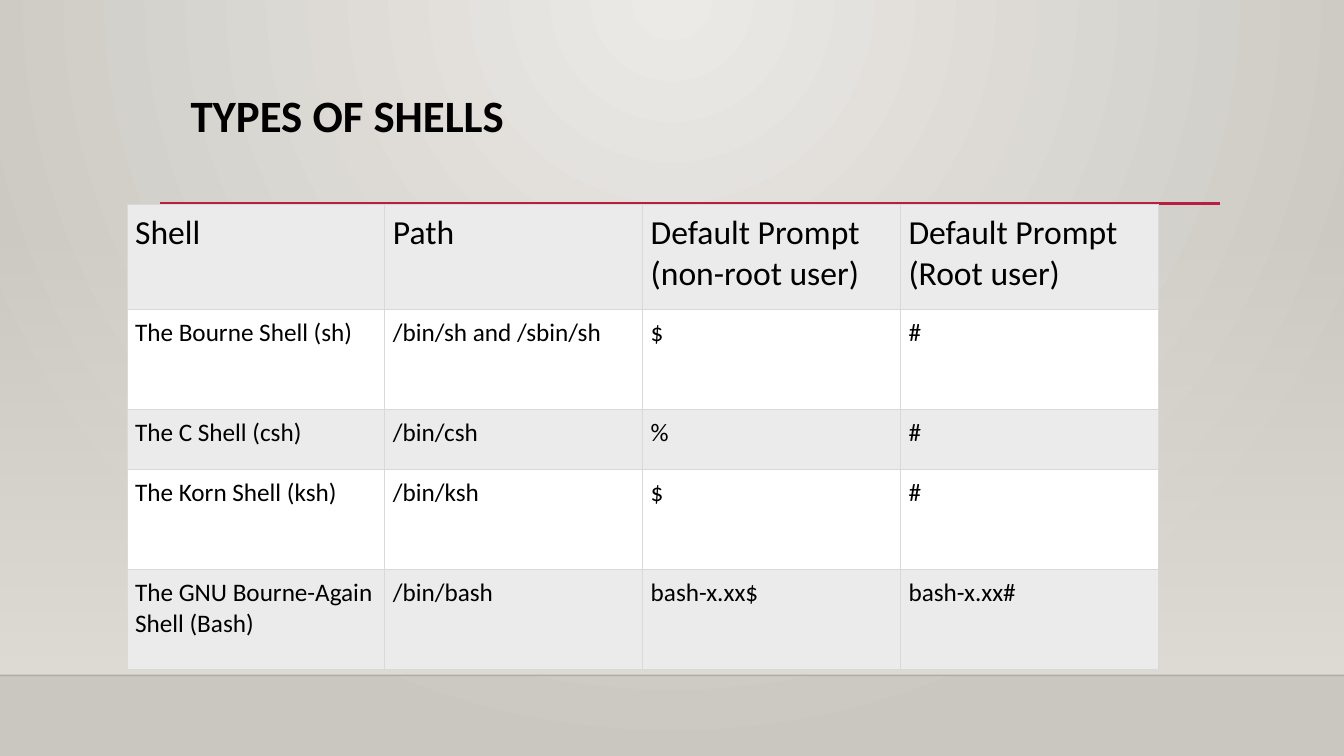
from dataclasses import dataclass

from lxml import etree
from pptx import Presentation
from pptx import util as u
from pptx.dml.color import RGBColor
from pptx.enum import shapes, text
from pptx.oxml import ns


@dataclass(frozen=True)
class Theme:
    font: str = "Calibri"
    ink: str = "000000"
    rule: str = "B71E42"
    edge: str = "000001"
    glow: str = "ECEAE7"
    wall: str = "CAC7C1"
    haze: str = "DFDBD5"
    band: str = "EBEBEB"
    plain: str = "FFFFFF"
    grid: str = "D9D9D9"
    title: int = 32
    head: int = 24
    body: int = 18


def assign(item, values):
    for name, value in values.items():
        setattr(item, name, value)


def add(parent, tag, **attrs):
    return etree.SubElement(parent, ns.qn(tag), attrs)


class Deck:
    def __init__(self, theme):
        self.theme = theme
        self.prs = Presentation()
        assign(self.prs, {"slide_width": u.Inches(13.33), "slide_height": u.Inches(7.5)})
        self.slide = self.prs.slides.add_slide(self.prs.slide_layouts[6])

    def wide(self, share):
        return round(self.prs.slide_width * share / 100)

    def high(self, share):
        return round(self.prs.slide_height * share / 100)

    def area(self, left, top, width, height):
        return self.wide(left), self.high(top), self.wide(width), self.high(height)

    def blend(self, fill, tints):
        fill.gradient()
        for stop, tint in zip(fill.gradient_stops, tints):
            stop.color.rgb = RGBColor.from_string(tint)

    def paint(self, fill, tint):
        fill.solid()
        fill.fore_color.rgb = RGBColor.from_string(tint)

    def label(self, frame, words, size, **extra):
        para = frame.paragraphs[0]
        run = para.add_run()
        run.text = words
        assign(run.font, {"name": self.theme.font, "size": u.Pt(size), **extra})
        run.font.color.rgb = RGBColor.from_string(self.theme.ink)
        return para

    def backdrop(self):
        self.blend(self.slide.background.fill, (self.theme.glow, self.theme.wall))
        grad = self.slide.element.find(".//" + ns.qn("a:gradFill"))
        grad.remove(grad.find(ns.qn("a:lin")))
        ring = add(grad, "a:path", path="circle")
        add(ring, "a:fillToRect", l="43000", t="0", r="43000", b="100000")

    def veil(self, *area):
        box = self.slide.shapes.add_shape(shapes.MSO_SHAPE.RECTANGLE, *self.area(*area))
        box.shadow.inherit = False
        box.line.fill.background()
        self.blend(box.fill, (self.theme.haze, self.theme.haze))
        box.fill.gradient_angle = 270
        first = box.element.find(".//" + ns.qn("a:srgbClr"))
        add(first, "a:alpha", val="0")

    def line(self, start, end, level, tint, width, alpha=100):
        link = self.slide.shapes.add_connector(
            shapes.MSO_CONNECTOR.STRAIGHT,
            self.wide(start), self.high(level), self.wide(end), self.high(level),
        )
        link.line.width = u.Pt(width)
        self.paint(link.line.fill, tint)
        if alpha < 100:
            shade = link.element.find(".//" + ns.qn("a:srgbClr"))
            add(shade, "a:alpha", val=str(alpha * 1000))
        add(link.element.spPr, "a:effectLst")

    def title(self, words, *area):
        frame = self.slide.shapes.add_textbox(*self.area(*area)).text_frame
        assign(frame, {
            "word_wrap": True,
            "margin_left": u.Inches(0.3),
            "vertical_anchor": text.MSO_ANCHOR.TOP,
        })
        para = self.label(frame, words, self.theme.title, bold=True)
        para.line_spacing = 0.9

    def border(self, cell):
        props = cell._tc.get_or_add_tcPr()
        for spot, side in enumerate(("a:lnL", "a:lnR", "a:lnT", "a:lnB")):
            edge = add(props, side, w=str(u.Pt(0.75)))
            add(add(edge, "a:solidFill"), "a:srgbClr", val=self.theme.grid)
            props.insert(spot, edge)

    def table(self, rows, tall, left, top, width):
        area = self.area(left, top, width, sum(tall))
        grid = self.slide.shapes.add_table(len(rows), len(rows[0]), *area).table
        assign(grid, {"first_row": False, "horz_banding": False})
        pad = u.Inches(0.08)
        sides = ("left", "right", "top", "bottom")
        for y, row in enumerate(rows):
            grid.rows[y].height = self.high(tall[y])
            for x, words in enumerate(row):
                cell = grid.cell(y, x)
                assign(cell, {f"margin_{side}": pad for side in sides})
                self.paint(cell.fill, self.theme.plain if y % 2 else self.theme.band)
                self.border(cell)
                self.label(cell.text_frame, words, self.theme.body if y else self.theme.head)


SHELLS = [
    ("Shell", "Path", "Default Prompt (non-root user)", "Default Prompt (Root user)"),
    ("The Bourne Shell (sh)", "/bin/sh and /sbin/sh", "$", "#"),
    ("The C Shell (csh)", "/bin/csh", "%", "#"),
    ("The Korn Shell (ksh)", "/bin/ksh", "$", "#"),
    ("The GNU Bourne-Again Shell (Bash)", "/bin/bash", "bash-x.xx$", "bash-x.xx#"),
]


def main():
    theme = Theme()
    deck = Deck(theme)
    deck.backdrop()
    deck.veil(0, 29.47, 100, 59.87)
    deck.line(0, 100, 89.33, theme.edge, 1, alpha=20)
    deck.line(11.93, 90.77, 26.93, theme.rule, 2.5)
    deck.title("TYPES OF SHELLS", 11.93, 11.73, 78.77, 15.33)
    deck.table(SHELLS, (13.87, 13.2, 8, 13.2, 13.2), 9.45, 27.07, 76.74)
    deck.prs.save("out.pptx")


if __name__ == "__main__":
    main()
